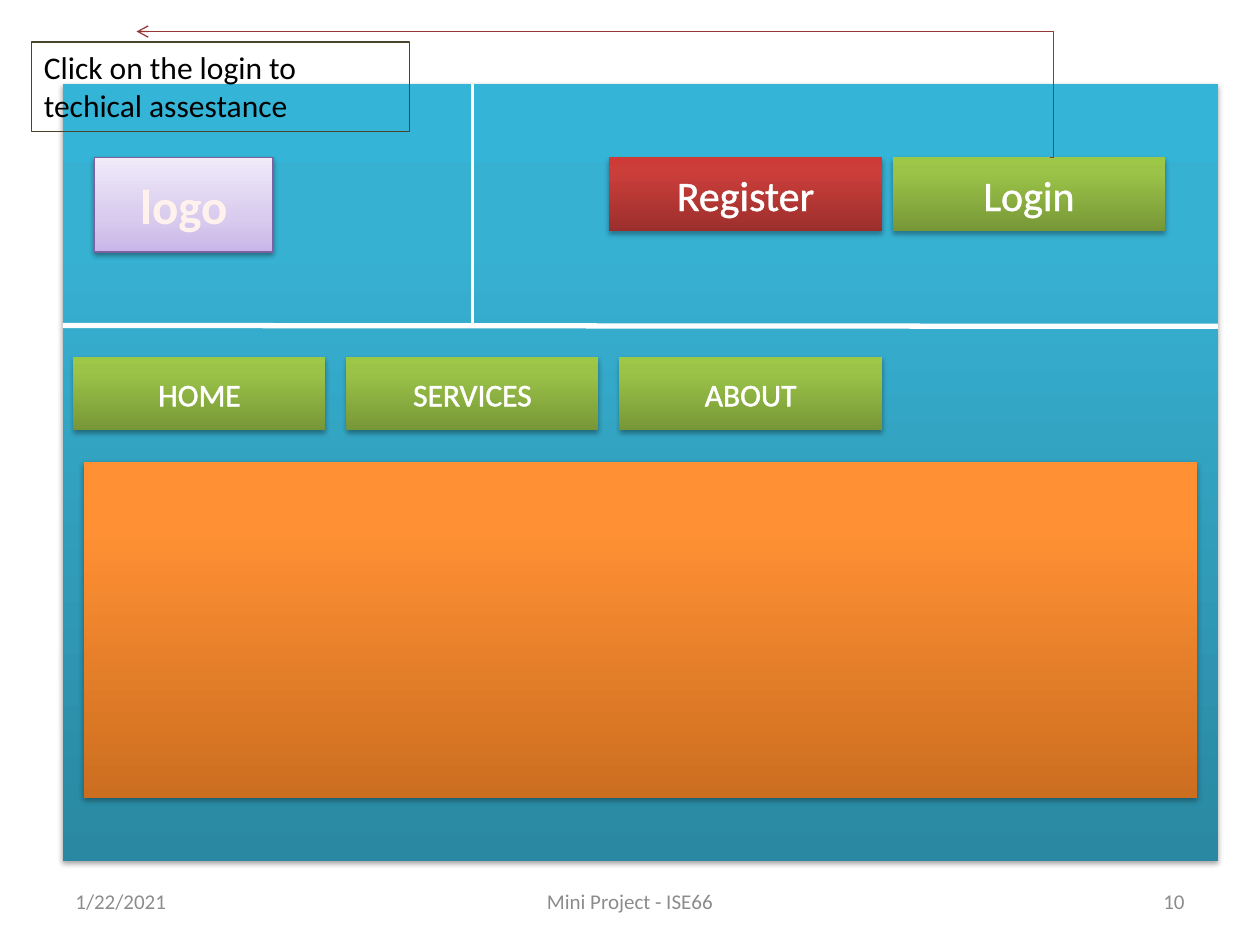
from lxml.etree import SubElement
from pptx import Presentation
from pptx.dml.color import RGBColor
from pptx.enum.shapes import MSO_CONNECTOR as Connector, MSO_SHAPE as Shape
from pptx.enum.text import MSO_ANCHOR as Anchor, PP_ALIGN as Align
from pptx.oxml import parse_xml
from pptx.oxml.ns import nsdecls, qn
from pptx.util import Pt

WHITE = RGBColor(0xFF, 0xFF, 0xFF)
BLACK = RGBColor(0x00, 0x00, 0x00)
GRAY = RGBColor(0x8C, 0x8C, 0x8C)
OLIVE = RGBColor(0x4A, 0x45, 0x2A)
MAROON = RGBColor(0x95, 0x37, 0x35)
PURPLE = RGBColor(0x7D, 0x60, 0xA0)
CREAM = RGBColor(0xFF, 0xF2, 0xED)
AMBER = RGBColor(0xEB, 0x6A, 0x00)


def gradient(bottom, middle, top, position=80):
    colors = (RGBColor.from_string(value) for value in (bottom, middle, top))
    return tuple(zip((0, position, 100), colors))


BLUE_FILL = gradient("2A88A2", "37B1D2", "34B4D6")
GREEN_FILL = gradient("779737", "9BC348", "9DC746")
RED_FILL = gradient("9C2F2D", "CB3E3A", "CE3B37")
ORANGE_FILL = gradient("CC6E20", "FF9034", "FF9136")
LILAC_FILL = gradient("C9B5E8", "D8CBEE", "F0EAF9", position=35)


def write_text(shape, text, size=18, color=WHITE, bold=False, align=Align.CENTER,
               anchor=Anchor.MIDDLE, outline=None, font="Calibri"):
    frame = shape.text_frame
    frame.word_wrap = True
    frame.vertical_anchor = anchor
    paragraph = frame.paragraphs[0]
    paragraph.alignment = align
    run = paragraph.add_run()
    run.text = text
    run.font.name = font
    run.font.size = Pt(size)
    run.font.bold = bold
    run.font.color.rgb = color
    if outline:
        line_color, width = outline
        run.font._element.insert(0, parse_xml(
            f'<a:ln {nsdecls("a")} w="{Pt(width)}"><a:solidFill>'
            f'<a:srgbClr val="{line_color}"/></a:solidFill></a:ln>'))


class Wireframe:
    def __init__(self, slide):
        self.slide = slide

    def panel(self, left, top, width, height, stops, border=None, opacity=35, distance=1.8):
        shape = self.slide.shapes.add_shape(
            Shape.RECTANGLE, Pt(left), Pt(top), Pt(width), Pt(height))
        shape.fill.background()
        if border:
            shape.line.color.rgb = border
            shape.line.width = Pt(0.75)
        else:
            shape.line.fill.background()
        properties = shape._element.spPr
        stop_xml = "".join(
            f'<a:gs pos="{position * 1000}"><a:srgbClr val="{color}"/></a:gs>'
            for position, color in stops)
        properties.replace(properties.find(qn("a:noFill")), parse_xml(
            f'<a:gradFill {nsdecls("a")} rotWithShape="1"><a:gsLst>{stop_xml}</a:gsLst>'
            '<a:lin ang="16200000" scaled="0"/></a:gradFill>'))
        properties.append(parse_xml(
            f'<a:effectLst {nsdecls("a")}><a:outerShdw blurRad="{Pt(3.1)}" '
            f'dist="{Pt(distance)}" dir="5400000" rotWithShape="0"><a:srgbClr val="{BLACK}">'
            f'<a:alpha val="{opacity * 1000}"/></a:srgbClr></a:outerShdw></a:effectLst>'))
        return shape

    def button(self, text, left, top, width, stops=GREEN_FILL, size=18):
        shape = self.panel(left, top, width, 42, stops)
        write_text(shape, text, size=size, outline=(WHITE, 1.45))

    def label(self, text, left, top, width, height, **style):
        box = self.slide.shapes.add_textbox(Pt(left), Pt(top), Pt(width), Pt(height))
        write_text(box, text, **style)
        return box

    def line(self, x1, y1, x2, y2, color, width, kind=Connector.STRAIGHT):
        connector = self.slide.shapes.add_connector(kind, Pt(x1), Pt(y1), Pt(x2), Pt(y2))
        connector.line.color.rgb = color
        connector.line.width = Pt(width)
        SubElement(connector._element.spPr, qn("a:effectLst"))
        return connector

    def callout_arrow(self, left, top, right, bottom):
        connector = self.line(left, top, right, bottom, MAROON, 0.75, Connector.ELBOW)
        properties = connector._element.spPr
        properties.find(qn("a:xfrm")).set("rot", "10800000")
        adjustments = properties.find(qn("a:prstGeom")).find(qn("a:avLst"))
        SubElement(adjustments, qn("a:gd"), name="adj1", fmla="val -400")
        SubElement(properties.find(qn("a:ln")), qn("a:tailEnd"), type="arrow")


def main():
    presentation = Presentation()
    presentation.slide_width, presentation.slide_height = Pt(720), Pt(540)
    slide = presentation.slides.add_slide(presentation.slide_layouts[6])
    page = Wireframe(slide)

    for text, left, width, align in (
            ("1/22/2021", 36, 168, Align.LEFT),
            ("Mini Project - ISE66", 246, 228, Align.CENTER),
            ("10", 516, 168, Align.RIGHT)):
        page.label(text, left, 500.5, width, 28.75, size=12, color=GRAY, align=align)

    page.panel(36, 48, 660, 444, BLUE_FILL)
    page.button("Login", 510, 90, 156, size=24)
    page.button("Register", 348, 90, 156, RED_FILL, size=24)
    page.line(36, 186, 696, 186.5, WHITE, 3)
    page.panel(48, 264, 636, 192, ORANGE_FILL)
    logo = page.panel(54, 90, 102, 54, LILAC_FILL, border=PURPLE, opacity=38, distance=1.6)
    write_text(logo, "logo", size=28, color=CREAM, bold=True, outline=(AMBER, 2.48))
    page.callout_arrow(78, 18, 600, 90)

    for text, left, width in (("ABOUT", 354, 150), ("SERVICES", 198, 144), ("HOME", 42, 144)):
        page.button(text, left, 204, width)

    note = page.label("Click on the login to techical assestance", 18, 24, 216, 51,
                      color=BLACK, align=Align.LEFT, anchor=Anchor.TOP)
    note.line.color.rgb = OLIVE
    note.line.width = Pt(0.75)
    page.line(270, 48, 270, 186, WHITE, 2.25)

    presentation.save("out.pptx")


if __name__ == "__main__":
    main()
